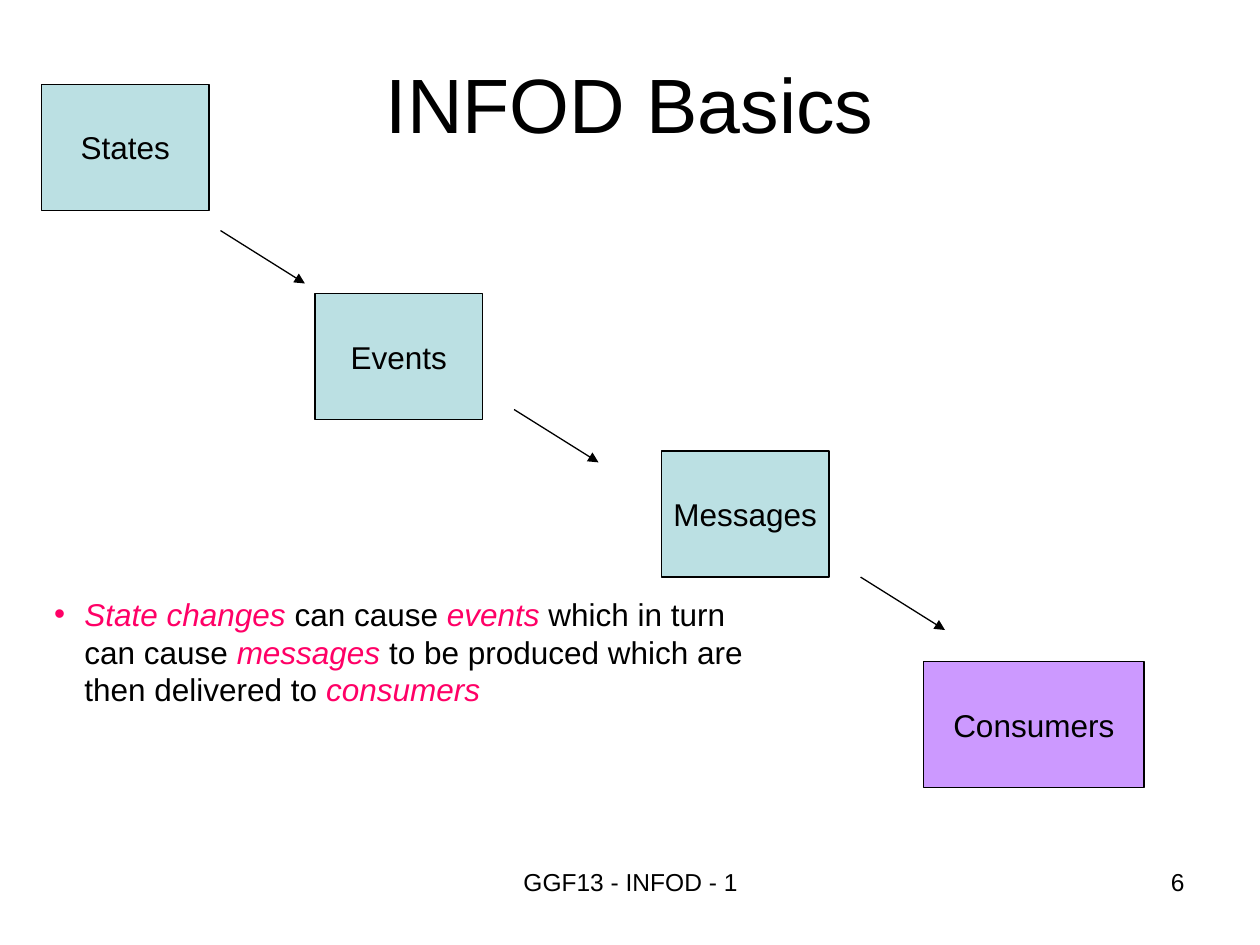
from lxml.etree import SubElement
from pptx import Presentation
from pptx.dml.color import RGBColor
from pptx.enum.shapes import MSO_CONNECTOR, MSO_SHAPE
from pptx.enum.text import MSO_ANCHOR, MSO_AUTO_SIZE, PP_ALIGN
from pptx.oxml.ns import qn
from pptx.util import Inches, Pt

COLORS = {
    "text": "000000",
    "accent": "FF0066",
    "stage": "BBE0E3",
    "consumer": "CC99FF",
}
FONT = "Arial"
STAGES = [
    ("States", (0.33, 0.67, 1.33, 1), "stage"),
    ("Events", (2.5, 2.33, 1.33, 1), "stage"),
    ("Messages", (5.25, 3.58, 1.33, 1), "stage"),
    ("Consumers", (7.33, 5.25, 1.75, 1), "consumer"),
]
ARROW_STARTS = [(1.75, 1.83), (4.08, 3.25), (6.83, 4.58)]
ARROW_SPAN = (0.67, 0.42)
SUMMARY = [
    ("State changes", True),
    (" can cause ", False),
    ("events", True),
    (" which in turn can cause ", False),
    ("messages", True),
    (" to be produced which are then delivered to ", False),
    ("consumers", True),
]


def color(name):
    """Return the named colour."""
    return RGBColor.from_string(COLORS[name])


def inches(box):
    """Convert a sequence of numbers to lengths."""
    return [Inches(value) for value in box]


def place(shape, box):
    """Move and size a shape to the given box."""
    shape.left, shape.top, shape.width, shape.height = inches(box)


def style_paragraph(paragraph, size, alignment):
    """Set the alignment and font of a paragraph."""
    paragraph.alignment = alignment
    paragraph.font.name = FONT
    paragraph.font.size = Pt(size)
    paragraph.font.color.rgb = color("text")


def add_title(slide, box):
    """Fill the title placeholder."""
    title = slide.shapes.title
    place(title, box)
    frame = title.text_frame
    frame.text = "INFOD Basics"
    frame.vertical_anchor = MSO_ANCHOR.MIDDLE
    frame.auto_size = MSO_AUTO_SIZE.NONE
    style_paragraph(frame.paragraphs[0], 44, PP_ALIGN.CENTER)


def add_stage(slide, label, box, fill):
    """Add one labelled box of the chain."""
    shape = slide.shapes.add_shape(MSO_SHAPE.RECTANGLE, *inches(box))
    shape.shadow.inherit = False
    shape.fill.solid()
    shape.fill.fore_color.rgb = color(fill)
    shape.line.color.rgb = color("text")
    shape.line.width = Pt(0.75)
    frame = shape.text_frame
    frame.text = label
    frame.word_wrap = False
    frame.vertical_anchor = MSO_ANCHOR.MIDDLE
    style_paragraph(frame.paragraphs[0], 18, PP_ALIGN.CENTER)


def add_arrow(slide, start, span):
    """Add an arrow covering the given span from its start."""
    end = [origin + length for origin, length in zip(start, span)]
    arrow = slide.shapes.add_connector(
        MSO_CONNECTOR.STRAIGHT, *inches(start), *inches(end)
    )
    arrow.line.color.rgb = color("text")
    arrow.line.width = Pt(0.75)
    SubElement(arrow.line._get_or_add_ln(), qn("a:tailEnd"), type="triangle")
    SubElement(arrow._element.spPr, qn("a:effectLst"))


def add_chain(slide):
    """Add the stages and the arrows between them."""
    for label, box, fill in STAGES:
        add_stage(slide, label, box, fill)
    for start in ARROW_STARTS:
        add_arrow(slide, start, ARROW_SPAN)


def add_summary(slide, box):
    """Fill the body placeholder with the bulleted sentence."""
    body = slide.placeholders[1]
    place(body, box)
    frame = body.text_frame
    frame.auto_size = MSO_AUTO_SIZE.NONE
    paragraph = frame.paragraphs[0]
    properties = paragraph._p.get_or_add_pPr()
    properties.set("marL", str(Inches(0.24)))
    properties.set("indent", str(-Inches(0.24)))
    bullet_color = SubElement(properties, qn("a:buClr"))
    SubElement(bullet_color, qn("a:srgbClr"), val=COLORS["accent"])
    SubElement(properties, qn("a:buFont"), typeface=FONT)
    SubElement(properties, qn("a:buChar"), char="•")
    paragraph.space_before = Pt(0)
    style_paragraph(paragraph, 18, PP_ALIGN.LEFT)
    for text, emphasized in SUMMARY:
        run = paragraph.add_run()
        run.text = text
        if emphasized:
            run.font.italic = True
            run.font.color.rgb = color("accent")


def add_footer_text(slide, text, box, alignment):
    """Add one text of the footer."""
    frame = slide.shapes.add_textbox(*inches(box)).text_frame
    frame.word_wrap = True
    frame.text = text
    style_paragraph(frame.paragraphs[0], 14, alignment)


def main():
    """Build the slide and save the presentation."""
    presentation = Presentation()
    presentation.slide_width = Inches(10)
    presentation.slide_height = Inches(7.5)
    slide = presentation.slides.add_slide(presentation.slide_layouts[1])
    add_title(slide, (0.5, 0.3, 9, 1.03))
    add_chain(slide)
    add_summary(slide, (0.33, 4.67, 5.67, 1))
    add_footer_text(
        slide, "GGF13 - INFOD - 1", (3.42, 6.83, 3.17, 0.52), PP_ALIGN.CENTER
    )
    add_footer_text(slide, "6", (7.17, 6.83, 2.33, 0.52), PP_ALIGN.RIGHT)
    presentation.save("out.pptx")


if __name__ == "__main__":
    main()
